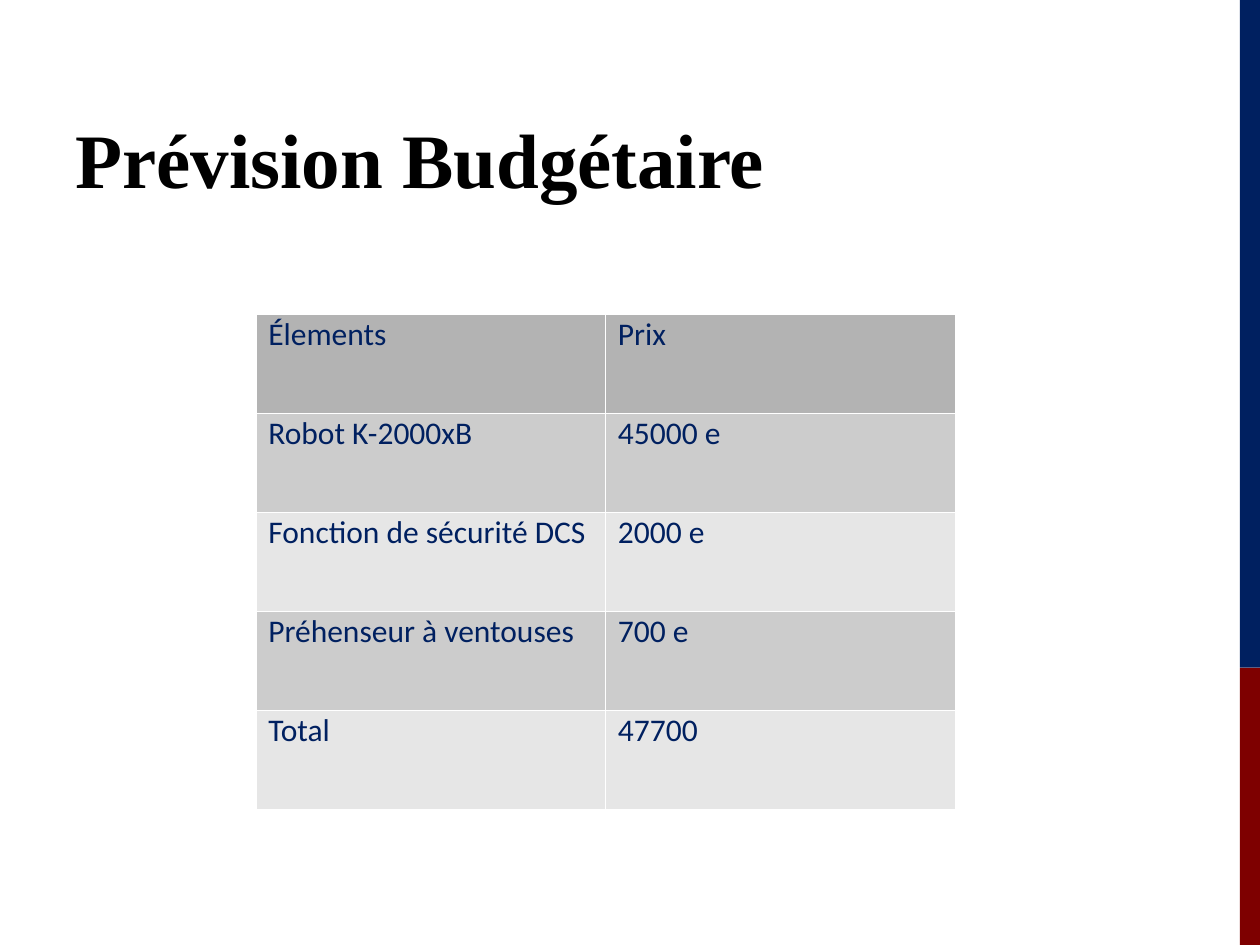
"""Build the budget forecast slide."""
import pptx
import pptx.dml.color
import pptx.enum.shapes
import pptx.enum.text
import pptx.oxml
import pptx.util
from pptx.util import Inches


def colour(value):
    return pptx.dml.color.RGBColor.from_string(value)


class SlideBuilder:
    BLUE, RED, BLACK, WHITE = "002060", "7E0000", "000000", "FFFFFF"
    HEADER_FILL, BAND_FILLS = "B3B3B3", ("CCCCCC", "E6E6E6")
    TITLE_FONT, BODY_FONT = "Times New Roman", "Calibri"
    BORDER_WIDTH = 0.06

    def __init__(self, page):
        self.page = page

    def style_text(self, paragraph, font, size, ink, bold=False):
        for span in paragraph.runs:
            span.font.name = font
            span.font.size = pptx.util.Pt(size)
            span.font.bold = bold
            span.font.color.rgb = colour(ink)

    def bar(self, left, top, width, height, fill):
        shape = self.page.shapes.add_shape(
            pptx.enum.shapes.MSO_SHAPE.RECTANGLE,
            Inches(left), Inches(top), Inches(width), Inches(height))
        shape.shadow.inherit = False
        shape.fill.solid()
        shape.fill.fore_color.rgb = colour(fill)
        shape.line.fill.background()

    def title(self, text, left, top, width, height):
        box = self.page.shapes.add_textbox(
            Inches(left), Inches(top), Inches(width), Inches(height))
        frame = box.text_frame
        frame.word_wrap = True
        frame.vertical_anchor = pptx.enum.text.MSO_ANCHOR.BOTTOM
        frame.text = text
        self.style_text(frame.paragraphs[0], self.TITLE_FONT, 44, self.BLACK, bold=True)

    def cell_borders(self, cell):
        properties = cell._tc.get_or_add_tcPr()
        width = int(pptx.util.Pt(self.BORDER_WIDTH))
        for position, side in enumerate(("lnL", "lnR", "lnT", "lnB")):
            properties.insert(position, pptx.oxml.parse_xml(
                f'<a:{side} xmlns:a="http://schemas.openxmlformats.org/drawingml/2006/main"'
                f' w="{width}"><a:solidFill><a:srgbClr val="{self.WHITE}"/></a:solidFill>'
                f'</a:{side}>'))

    def table(self, rows, left, top, width, height):
        table = self.page.shapes.add_table(
            len(rows), len(rows[0]),
            Inches(left), Inches(top), Inches(width), Inches(height)).table
        for row_index, row in enumerate(rows):
            fill = self.BAND_FILLS[(row_index - 1) % 2] if row_index else self.HEADER_FILL
            for column_index, text in enumerate(row):
                cell = table.cell(row_index, column_index)
                cell.fill.solid()
                cell.fill.fore_color.rgb = colour(fill)
                self.cell_borders(cell)
                cell.text_frame.text = text
                paragraph = cell.text_frame.paragraphs[0]
                paragraph.line_spacing = 0.83
                self.style_text(paragraph, self.BODY_FONT, 18, self.BLUE)


def main():
    deck = pptx.Presentation()
    deck.slide_width, deck.slide_height = Inches(10), Inches(7.5)
    builder = SlideBuilder(deck.slides.add_slide(deck.slide_layouts[6]))
    builder.bar(9.84, 0, 0.16, 5.3, builder.BLUE)
    builder.bar(9.84, 5.3, 0.16, 2.2, builder.RED)
    builder.title("Prévision Budgétaire", 0.5, 0.17, 6.33, 1.5)
    budget = [
        ("Élements", "Prix"),
        ("Robot K-2000xB", "45000 e"),
        ("Fonction de sécurité DCS", "2000 e"),
        ("Préhenseur à ventouses", "700 e"),
        ("Total", "47700"),
    ]
    builder.table(budget, 2.03, 2.49, 5.55, 3.93)
    deck.save("out.pptx")


if __name__ == "__main__":
    main()
